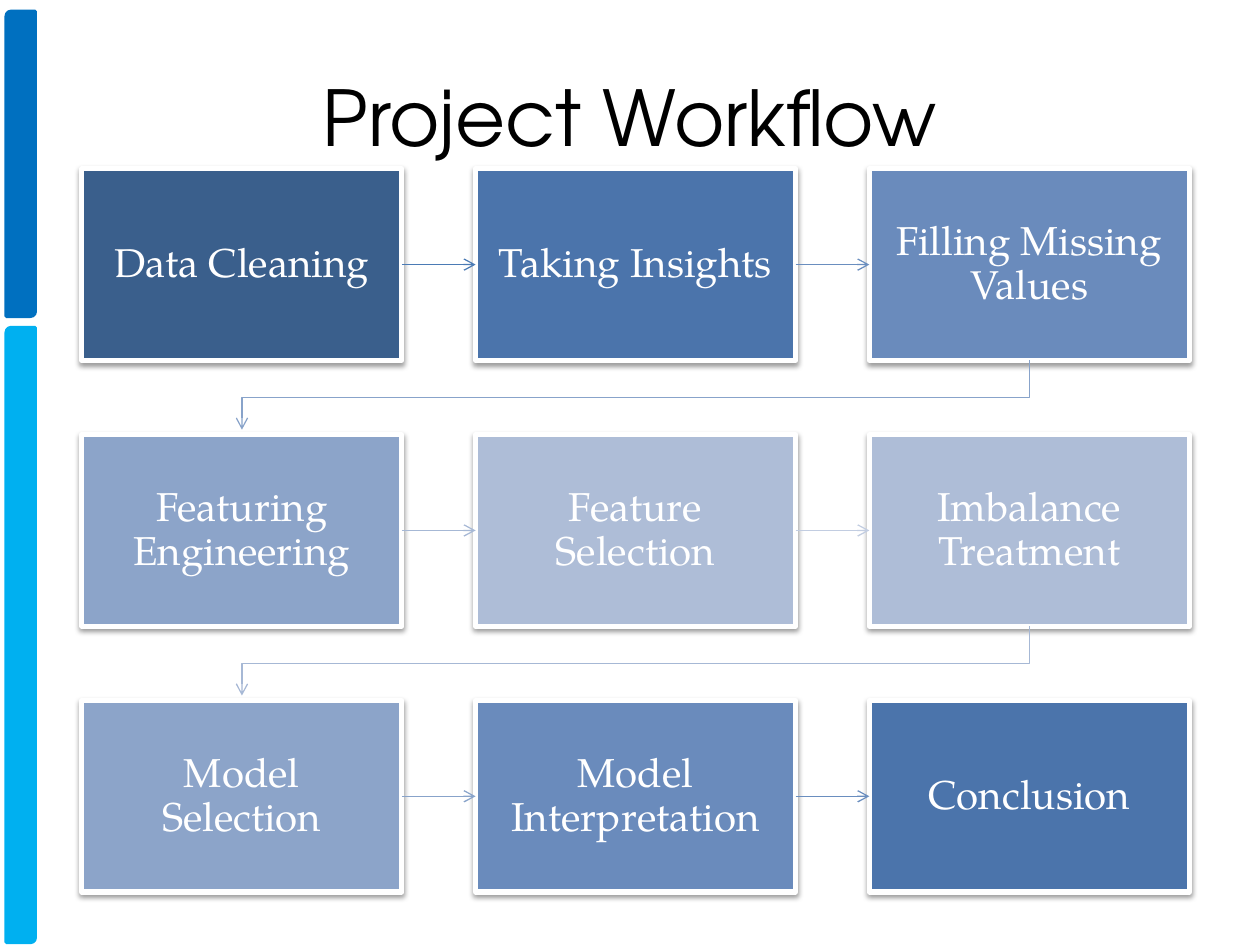
from dataclasses import dataclass

from lxml.etree import SubElement
from pptx import Presentation
from pptx.dml.color import RGBColor
from pptx.enum.shapes import MSO_CONNECTOR, MSO_SHAPE
from pptx.enum.text import MSO_ANCHOR, PP_ALIGN
from pptx.oxml.ns import qn
from pptx.util import Inches, Pt


@dataclass(frozen=True)
class Theme:
    title_font: str = "TeX Gyre Adventor"
    body_font: str = "TeX Gyre Pagella"
    title_size: int = 44
    step_size: int = 23
    title_color: str = "000000"
    white: str = "FFFFFF"
    bar_top: str = "0070C0"
    bar_bottom: str = "00B0F0"
    shadow: str = "000000"
    arrow_width: float = 0.75
    border_width: float = 3
    bar_line_width: float = 2


THEME = Theme()

STEPS = [
    ("Data Cleaning", "3A5F8C"),
    ("Taking Insights", "4B74AB"),
    ("Filling Missing Values", "6A8BBC"),
    ("Featuring Engineering", "8CA4C9"),
    ("Feature Selection", "AEBDD7"),
    ("Imbalance Treatment", "AEBDD7"),
    ("Model Selection", "8CA4C9"),
    ("Model Interpretation", "6A8BBC"),
    ("Conclusion", "4B74AB"),
]
ARROW_COLORS = ["4B7BB5", "6A8EBF", "88A3CA", "A6B8D5",
                "C2CDE1", "A6B8D5", "88A3CA", "6A8EBF"]
COLUMNS = 3


def rgb(value):
    return RGBColor.from_string(value)


def style_font(font, name, size, color):
    font.name = name
    font.size = Pt(size)
    font.color.rgb = rgb(color)


def add_filled(slide, preset, box, fill, line, width):
    sp = slide.shapes.add_shape(preset, *box)
    sp.shadow.inherit = False
    sp.fill.solid()
    sp.fill.fore_color.rgb = rgb(fill)
    sp.line.color.rgb = rgb(line)
    sp.line.width = Pt(width)
    return sp


def add_side_bars(slide, left, top, width, height):
    gap = Inches(0.09)
    upper = Inches(2.42)
    lower_top = top + upper + gap
    bars = [(top, upper, THEME.bar_top),
            (lower_top, top + height - lower_top, THEME.bar_bottom)]
    for bar_top, bar_height, color in bars:
        add_filled(slide, MSO_SHAPE.ROUND_2_DIAG_RECTANGLE,
                   (left, bar_top, width, bar_height),
                   color, color, THEME.bar_line_width)


def add_title(slide, left, top, width, height):
    title = slide.shapes.title
    title.left, title.top, title.width, title.height = left, top, width, height
    tf = title.text_frame
    tf.text = "Project Workflow"
    tf.vertical_anchor = MSO_ANCHOR.MIDDLE
    p = tf.paragraphs[0]
    p.alignment = PP_ALIGN.CENTER
    style_font(p.font, THEME.title_font, THEME.title_size, THEME.title_color)


def add_soft_shadow(sp):
    effects = sp._element.spPr.find(qn("a:effectLst"))
    outer = SubElement(effects, qn("a:outerShdw"), blurRad=str(Pt(3.1)),
                       dist=str(Pt(1.6)), dir="5400000", rotWithShape="0")
    color = SubElement(outer, qn("a:srgbClr"), val=THEME.shadow)
    SubElement(color, qn("a:alpha"), val="38000")


def add_step(slide, box, text, fill):
    sp = add_filled(slide, MSO_SHAPE.RECTANGLE, box, fill,
                    THEME.white, THEME.border_width)
    add_soft_shadow(sp)
    tf = sp.text_frame
    tf.word_wrap = True
    tf.vertical_anchor = MSO_ANCHOR.MIDDLE
    inset = Inches(0.18)
    tf.margin_left = tf.margin_right = tf.margin_top = tf.margin_bottom = inset
    tf.text = text
    p = tf.paragraphs[0]
    p.alignment = PP_ALIGN.CENTER
    p.line_spacing = 0.9
    style_font(p.font, THEME.body_font, THEME.step_size, THEME.white)
    return sp


def style_arrow(arrow, color):
    arrow.line.color.rgb = rgb(color)
    arrow.line.width = Pt(THEME.arrow_width)
    SubElement(arrow.line._get_or_add_ln(), qn("a:tailEnd"), type="arrow")


def add_straight_arrow(slide, source, target, color):
    y = source.top + source.height // 2
    arrow = slide.shapes.add_connector(
        MSO_CONNECTOR.STRAIGHT, source.left + source.width, y, target.left, y)
    arrow.begin_connect(source, 3)
    arrow.end_connect(target, 1)
    SubElement(arrow._element.spPr, qn("a:effectLst"))
    style_arrow(arrow, color)


def add_row_arrow(slide, source, target, color):
    start_x = source.left + source.width // 2
    start_y = source.top + source.height
    end_x = target.left + target.width // 2
    middle_y = (start_y + target.top) // 2
    builder = slide.shapes.build_freeform(start_x, start_y)
    builder.add_line_segments(
        [(start_x, middle_y), (end_x, middle_y),
         (end_x, target.top - Inches(0.04))], close=False)
    arrow = builder.convert_to_shape()
    arrow.shadow.inherit = False
    arrow.fill.background()
    style_arrow(arrow, color)


def add_workflow(slide, left, top, width, height):
    step_w, step_h = Inches(2.54), Inches(1.52)
    rows = len(STEPS) // COLUMNS
    pitch_x = (width - step_w) // (COLUMNS - 1)
    pitch_y = (height - step_h) // (rows - 1)
    steps = []
    for i, (text, fill) in enumerate(STEPS):
        row, column = divmod(i, COLUMNS)
        box = (left + column * pitch_x, top + row * pitch_y, step_w, step_h)
        steps.append(add_step(slide, box, text, fill))
    for source, target, color in zip(steps, steps[1:], ARROW_COLORS):
        same_row = source.top == target.top
        add_arrow = add_straight_arrow if same_row else add_row_arrow
        add_arrow(slide, source, target, color)


def main():
    prs = Presentation()
    prs.slide_width, prs.slide_height = Inches(10), Inches(7.5)
    slide = prs.slides.add_slide(prs.slide_layouts[5])
    add_side_bars(slide, Inches(0.05), Inches(0.09), Inches(0.23), Inches(7.39))
    add_title(slide, Inches(0.5), Inches(0.29), Inches(9), Inches(1.25))
    add_workflow(slide, Inches(0.65), Inches(1.34), Inches(8.79), Inches(5.74))
    prs.save("out.pptx")


if __name__ == "__main__":
    main()
